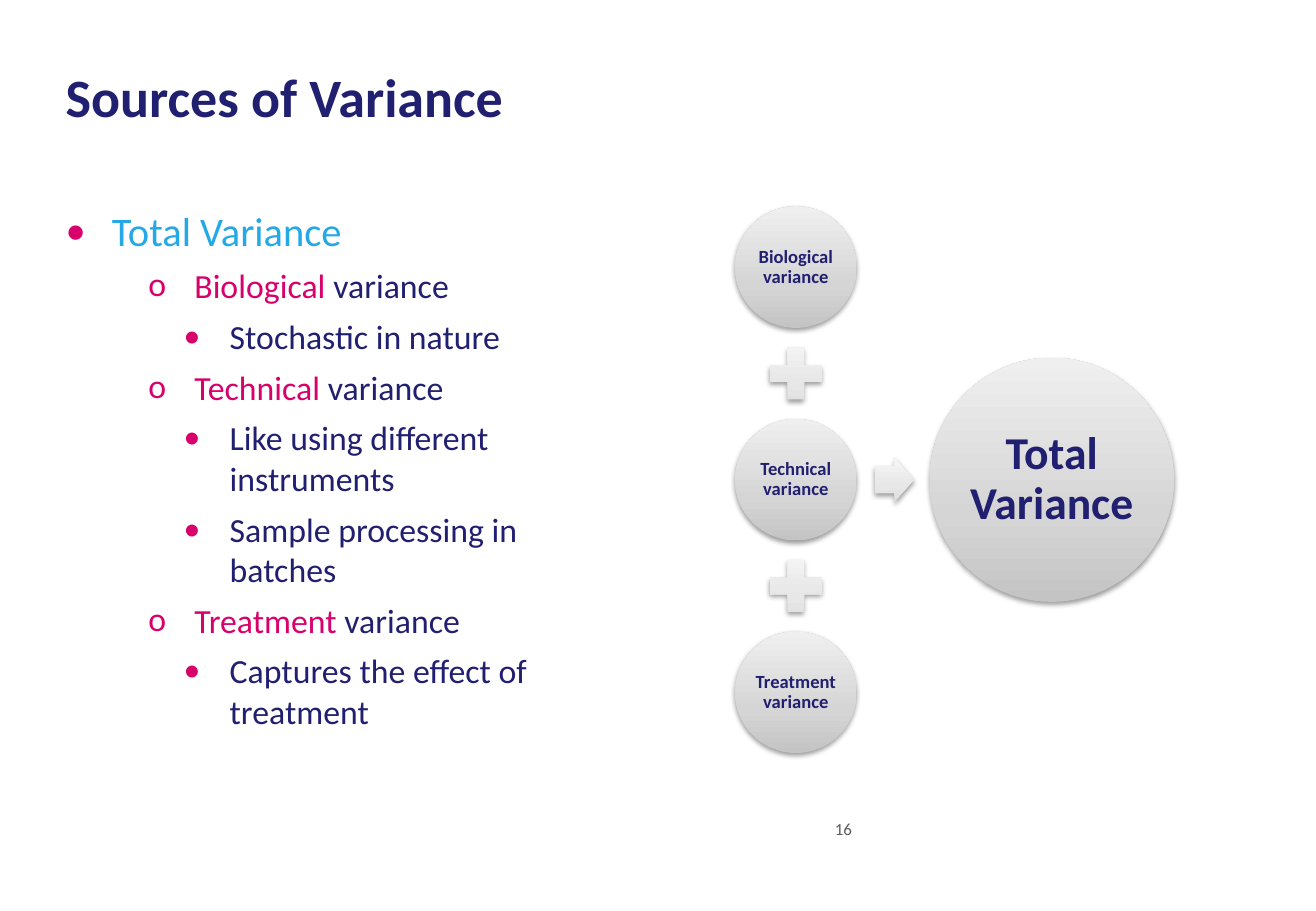
from pptx import Presentation
from pptx.dml.color import RGBColor
from pptx.enum.shapes import MSO_SHAPE
from pptx.enum.text import MSO_ANCHOR, PP_ALIGN
from pptx.oxml import parse_xml
from pptx.oxml.ns import nsdecls
from pptx.util import Inches, Pt

FONT = "Calibri"
NAVY, PINK, SKY, GREY = "211F70", "D8006B", "24A8E6", "5D5C5C"
CIRCLE_STOPS = [(0, "C5C4C4"), (35, "D6D5D5"), (100, "EFEFEF")]
SYMBOL_STOPS = [(0, "DEDEDE"), (35, "E7E7E7"), (100, "F6F6F6")]

# Bullet level: (mark, text indent in inches)
LEVELS = [("•", 0.38), ("o", 1.06), ("•", 1.35)]
OUTLINE = [
    (0, [("Total Variance", SKY)]),
    (1, [("Biological", PINK), (" variance", NAVY)]),
    (2, [("Stochastic in nature", NAVY)]),
    (1, [("Technical", PINK), (" variance", NAVY)]),
    (2, [("Like using different instruments", NAVY)]),
    (2, [("Sample processing in batches", NAVY)]),
    (1, [("Treatment", PINK), (" variance", NAVY)]),
    (2, [("Captures the effect of treatment", NAVY)]),
]
SOURCES = ["Biological variance", "Technical variance", "Treatment variance"]


def color(value):
    return RGBColor.from_string(value)


def add_span(para, text, size, fill, bold=False):
    span = para.add_run()
    span.text = text
    span.font.name = FONT
    span.font.size = Pt(size)
    span.font.bold = bold
    span.font.color.rgb = color(fill)


def set_frame(frame, anchor=MSO_ANCHOR.TOP):
    frame.word_wrap = True
    frame.vertical_anchor = anchor
    frame.margin_left = frame.margin_right = 0
    frame.margin_top = frame.margin_bottom = 0


def add_box(page, left, top, width, height):
    box = page.shapes.add_textbox(Inches(left), Inches(top), Inches(width), Inches(height))
    set_frame(box.text_frame)
    return box.text_frame


def set_bullet(para, mark, indent):
    properties = para._p.get_or_add_pPr()
    properties.set("marL", str(Inches(indent)))
    properties.set("indent", str(Inches(-0.38)))
    for xml in (
        f'<a:buClr {nsdecls("a")}><a:srgbClr val="{PINK}"/></a:buClr>',
        f'<a:buFont {nsdecls("a")} typeface="{FONT}"/>',
        f'<a:buChar {nsdecls("a")} char="{mark}"/>',
    ):
        properties.append(parse_xml(xml))


def add_soft_shape(page, kind, center_x, center_y, width, height, stops):
    """Add a borderless shape, shaded upwards from dark to light, with a drop shadow."""
    shape = page.shapes.add_shape(
        kind, Inches(center_x - width / 2), Inches(center_y - height / 2),
        Inches(width), Inches(height))
    marks = "".join(
        f'<a:gs pos="{place * 1000}"><a:srgbClr val="{value}"/></a:gs>'
        for place, value in stops)
    properties = shape._element.spPr
    properties.append(parse_xml(
        f'<a:gradFill {nsdecls("a")} rotWithShape="1"><a:gsLst>{marks}</a:gsLst>'
        '<a:lin ang="16200000" scaled="0"/></a:gradFill>'))
    shape.line.fill.background()
    properties.append(parse_xml(
        f'<a:effectLst {nsdecls("a")}><a:outerShdw blurRad="{Pt(3.1)}" dist="{Pt(1.6)}" '
        'dir="5400000" rotWithShape="0"><a:srgbClr val="000000"><a:alpha val="38000"/>'
        '</a:srgbClr></a:outerShdw></a:effectLst>'))
    return shape


def add_circle(page, center_x, center_y, diameter, label, size):
    circle = add_soft_shape(
        page, MSO_SHAPE.OVAL, center_x, center_y, diameter, diameter, CIRCLE_STOPS)
    set_frame(circle.text_frame, MSO_ANCHOR.MIDDLE)
    para = circle.text_frame.paragraphs[0]
    para.alignment = PP_ALIGN.CENTER
    para.line_spacing = 0.9
    add_span(para, label, size, NAVY, bold=True)


def fill_title(page, left, top, width, height):
    title = page.shapes.title
    title.left, title.top = Inches(left), Inches(top)
    title.width, title.height = Inches(width), Inches(height)
    set_frame(title.text_frame)
    para = title.text_frame.paragraphs[0]
    para.alignment = PP_ALIGN.LEFT
    para.line_spacing = Pt(36)
    add_span(para, "Sources of Variance", 32, NAVY, bold=True)


def add_outline(page, left, top, width, height):
    frame = add_box(page, left, top, width, height)
    for index, (level, spans) in enumerate(OUTLINE):
        para = frame.add_paragraph() if index else frame.paragraphs[0]
        para.level = level
        para.space_after = Pt(6)
        set_bullet(para, *LEVELS[level])
        for text, fill in spans:
            add_span(para, text, 20 if level else 24, fill)


def add_equation(page, left, top, width, height):
    """Stack the sources with plus signs between them, and point to their total."""
    small, large = 1, 2.01
    step = (height - small) / (len(SOURCES) - 1)
    column = left + small / 2
    middle = top + height / 2
    for index, label in enumerate(SOURCES):
        center_y = top + small / 2 + index * step
        if index:
            add_soft_shape(page, MSO_SHAPE.MATH_PLUS, column, center_y - step / 2,
                           0.58, 0.58, SYMBOL_STOPS)
        add_circle(page, column, center_y, small, label, 11)
    arrow = add_soft_shape(page, MSO_SHAPE.RIGHT_ARROW, left + 1.31, middle,
                           0.32, 0.37, SYMBOL_STOPS)
    arrow.adjustments[0] = 0.6
    arrow.adjustments[1] = 0.5
    add_circle(page, left + width - large / 2, middle, large, "Total Variance", 27)


def add_page_number(page, left, top, width, height):
    frame = add_box(page, left, top, width, height)
    add_span(frame.paragraphs[0], "16", 10, GREY)


def main():
    deck = Presentation()
    deck.slide_width, deck.slide_height = Inches(10.83), Inches(7.5)
    page = deck.slides.add_slide(deck.slide_layouts[5])
    fill_title(page, 0.54, 0.56, 9.75, 1.08)
    add_outline(page, 0.54, 1.7, 4.51, 4.5)
    add_page_number(page, 6.87, 6.74, 0.3, 0.42)
    add_equation(page, 6.05, 1.7, 3.61, 4.5)
    deck.save("out.pptx")


if __name__ == "__main__":
    main()
